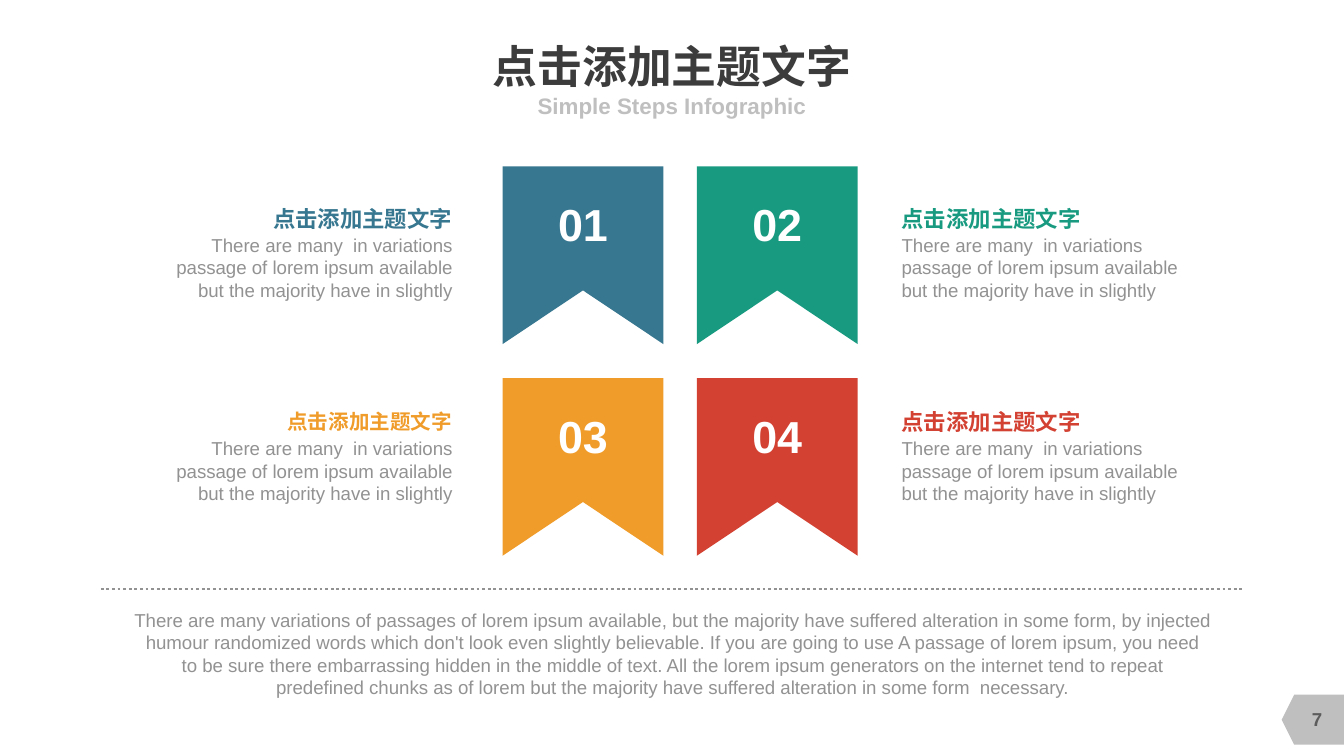
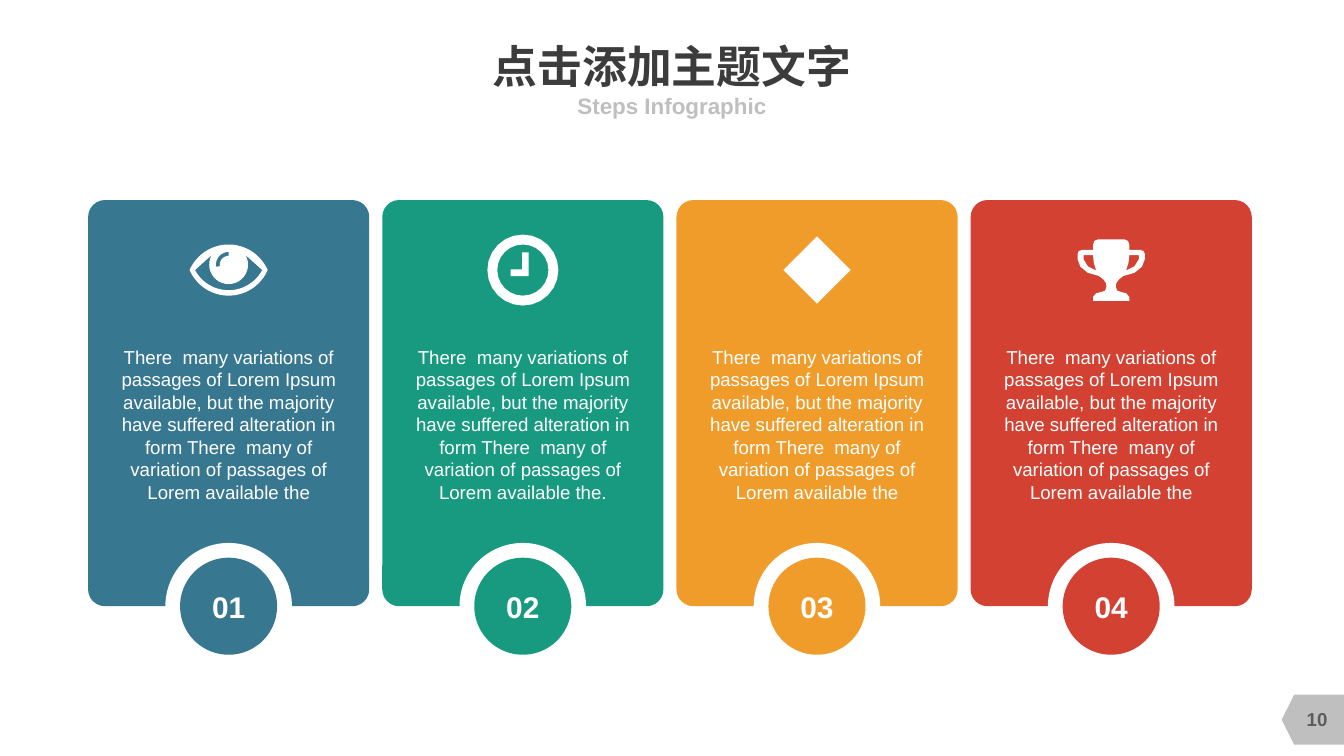
from math import cos, radians, sin

from lxml import etree
from pptx import Presentation
from pptx.dml.color import RGBColor
from pptx.enum.dml import MSO_LINE as Dash
from pptx.enum.shapes import MSO_CONNECTOR as Connector, MSO_SHAPE as Preset
from pptx.enum.text import MSO_ANCHOR as Anchor, MSO_AUTO_SIZE as AutoSize, PP_ALIGN as Align
from pptx.oxml.ns import qn
from pptx.util import Pt

FONT = "Arial"
WHITE, SILVER, GRAY = "FFFFFF", "BFBFBF", "929292"
TITLE_COLOR, PAGE_COLOR = "3C3C3C", "5C5C5C"
ACCENTS = ["377790", "189A80", "F09C2A", "D24132"]
HEADING = "点击添加主题文字"
CAPTION = "There are many  in variations passage of lorem ipsum available but the majority have in slightly"
SUMMARY = (
    "There are many variations of passages of lorem ipsum available, but the majority have "
    "suffered alteration in some form, by injected humour randomized words which don't look "
    "even slightly believable. If you are going to use A passage of lorem ipsum, you need\v"
    "to be sure there embarrassing hidden in the middle of text. All the lorem ipsum generators "
    "on the internet tend to repeat\v"
    "predefined chunks as of lorem but the majority have suffered alteration in some form  necessary."
)
CARD_TEXT = (
    "There  many variations of passages of Lorem Ipsum available, but the majority have suffered "
    "alteration in form There  many of variation of passages of Lorem available the"
)


def rgb(color):
    return RGBColor.from_string(color)


def write_text(frame, content, size=10, color=GRAY, bold=False, align=Align.CENTER,
               anchor=Anchor.MIDDLE, wrap=True):
    frame.auto_size = AutoSize.NONE
    frame.word_wrap = wrap
    frame.vertical_anchor = anchor
    frame.margin_left = frame.margin_right = frame.margin_top = frame.margin_bottom = 0
    para = frame.paragraphs[0]
    para.text = content
    para.alignment = align
    para.space_before = Pt(0)
    for span in para.runs:
        span.font.name = FONT
        span.font.size = Pt(size)
        span.font.bold = bold
        span.font.color.rgb = rgb(color)
    for line_break in para._p.findall(qn("a:br")):
        etree.SubElement(line_break, qn("a:rPr"), sz=str(size * 100))


def arc(x, y, radius, start, end, steps=24):
    angles = [radians(start + (end - start) * step / steps) for step in range(steps + 1)]
    return [(x + radius * cos(angle), y + radius * sin(angle)) for angle in angles]


def mirror(points):
    return [(-x, y) for x, y in points]


def eye_icon():
    outline = arc(0, -9.1, 22.8, 24, 156) + arc(0, 9.1, 22.8, 204, 336)
    white = arc(0, -9.6, 20.4, 28, 152) + arc(0, -2.9, 10.4, 210, -30)
    glint = arc(0, -2.9, 6.8, 170, 270) + arc(0, -2.9, 4.7, 270, 170)
    return [outline, white, glint]


def clock_icon():
    hands = [(-0.4, -9.4), (3.1, -9.4), (3.1, 3.2), (-6.5, 3.2), (-6.5, -0.3), (-0.4, -0.3)]
    return [arc(0, 0, 19, 0, 360), arc(0, 0, 13.7, 0, 360), hands]


def diamond_icon():
    return [[(0, -18), (18, 0), (0, 18), (-18, 0)]]


def trophy_icon():
    half = [(7, -16.5), (9, -15.6), (9.7, -13.6), (9.7, -10.8), (15.5, -10.8), (17.4, -10.2),
            (18, -8.6), (18, -5.8), (16.5, -1.8), (12.5, 1.5), (6.5, 3.2), (4.2, 5), (2.8, 7),
            (2.5, 9), (3.2, 11), (5.5, 11.8), (8, 12.4), (9.7, 14.4), (9.7, 16.5)]
    handle = [(9.7, -8), (14.8, -8), (14.8, -5.8), (12.5, -2), (8, 0.3), (9.3, -4)]
    return [half + mirror(half)[::-1], handle, mirror(handle)]


class SlidePainter:
    def __init__(self):
        self.deck = Presentation()
        self.deck.slide_width, self.deck.slide_height = Pt(720), Pt(405)
        self.page = None

    def start_page(self, subtitle, number):
        self.page = self.deck.slides.add_slide(self.deck.slide_layouts[5])
        title = self.page.shapes.title
        title.left, title.top, title.width, title.height = Pt(138), Pt(21), Pt(444), Pt(28)
        write_text(title.text_frame, HEADING, size=24, color=TITLE_COLOR, bold=True, wrap=False)
        self.text(198, 48.6, 324, 16, subtitle, size=12, color=SILVER, bold=True)
        marker = self.shape(Preset.FLOWCHART_OFFPAGE_CONNECTOR, 689.9, 368.9, 26.8, 33.4, SILVER)
        marker.rotation = 90
        self.text(687.6, 374.6, 36, 21.6, str(number), color=PAGE_COLOR, bold=True)

    def paint(self, shape, color):
        shape.shadow.inherit = False
        shape.fill.solid()
        shape.fill.fore_color.rgb = rgb(color)
        shape.line.fill.background()
        return shape

    def shape(self, preset, left, top, width, height, color):
        shape = self.page.shapes.add_shape(preset, Pt(left), Pt(top), Pt(width), Pt(height))
        return self.paint(shape, color)

    def circle(self, x, y, diameter, color):
        radius = diameter / 2
        return self.shape(Preset.OVAL, x - radius, y - radius, diameter, diameter, color)

    def outline(self, x, y, contours, color):
        builder = None
        for contour in contours:
            points = [(Pt(x + across), Pt(y + down)) for across, down in contour]
            if builder is None:
                builder = self.page.shapes.build_freeform(*points[0])
            else:
                builder.move_to(*points[0])
            builder.add_line_segments(points[1:], close=True)
        return self.paint(builder.convert_to_shape(), color)

    def text(self, left, top, width, height, content, **style):
        box = self.page.shapes.add_textbox(Pt(left), Pt(top), Pt(width), Pt(height))
        write_text(box.text_frame, content, **style)

    def dotted_rule(self, left, right, y):
        rule = self.page.shapes.add_connector(Connector.STRAIGHT, Pt(left), Pt(y), Pt(right), Pt(y))
        rule.line.color.rgb = rgb(GRAY)
        rule.line.width = Pt(1.5)
        rule.line.dash_style = Dash.ROUND_DOT
        etree.SubElement(rule._element.spPr, qn("a:effectLst"))


def build_ribbons(painter):
    painter.start_page("Simple Steps Infographic", 7)
    width, height, notch = 86.2, 95.2, 66.4
    ribbon = [(0, 0), (width, 0), (width, height), (width / 2, notch), (0, height)]
    heading_sizes = [12, 12, 11, 12]
    for index, color in enumerate(ACCENTS):
        row, column = divmod(index, 2)
        left, top = 269.2 + 104.1 * column, 89.2 + 113.4 * row
        painter.outline(left, top, [ribbon], color)
        painter.text(left + 22.2, top + 12.8, 41.8, 36, f"{index + 1:02}",
                     size=24, color=WHITE, bold=True, wrap=False)
        align = Align.LEFT if column else Align.RIGHT
        heading_left, caption_left = (483, 483) if column else (145.1, 91.4)
        caption_top = 125.2 + 108.9 * row
        painter.text(heading_left, caption_top - 15.4, 97.2, 14.4, HEADING,
                     size=heading_sizes[index], color=color, bold=True, align=align, wrap=False)
        painter.text(caption_left, caption_top, 150.9, 36, CAPTION, align=align, anchor=Anchor.TOP)
    painter.dotted_rule(54, 666, 315.6)
    painter.text(54.5, 326.1, 611, 48, SUMMARY, anchor=Anchor.TOP)


def build_cards(painter):
    painter.start_page("Steps Infographic", 10)
    icons = [eye_icon(), clock_icon(), diamond_icon(), trophy_icon()]
    endings = ["", ".", "", ""]
    width, height, top = 150.6, 217.6, 107.2
    bottom = top + height
    for index, (color, icon, ending) in enumerate(zip(ACCENTS, icons, endings)):
        middle = 122.5 + 157.6 * index
        card = painter.shape(Preset.ROUNDED_RECTANGLE, middle - width / 2, top, width, height, color)
        card.adjustments[0] = 0.06
        painter.circle(middle, bottom, 67.8, WHITE)
        badge = painter.circle(middle, bottom, 52, color)
        write_text(badge.text_frame, f"{index + 1:02}", size=16, color=WHITE, bold=True)
        painter.outline(middle, 144.7, icon, WHITE)
        painter.text(middle - 62, 185.3, 124, 98, CARD_TEXT + ending,
                     color=WHITE, anchor=Anchor.TOP)


def main():
    painter = SlidePainter()
    build_ribbons(painter)
    build_cards(painter)
    painter.deck.save("out.pptx")


if __name__ == "__main__":
    main()
